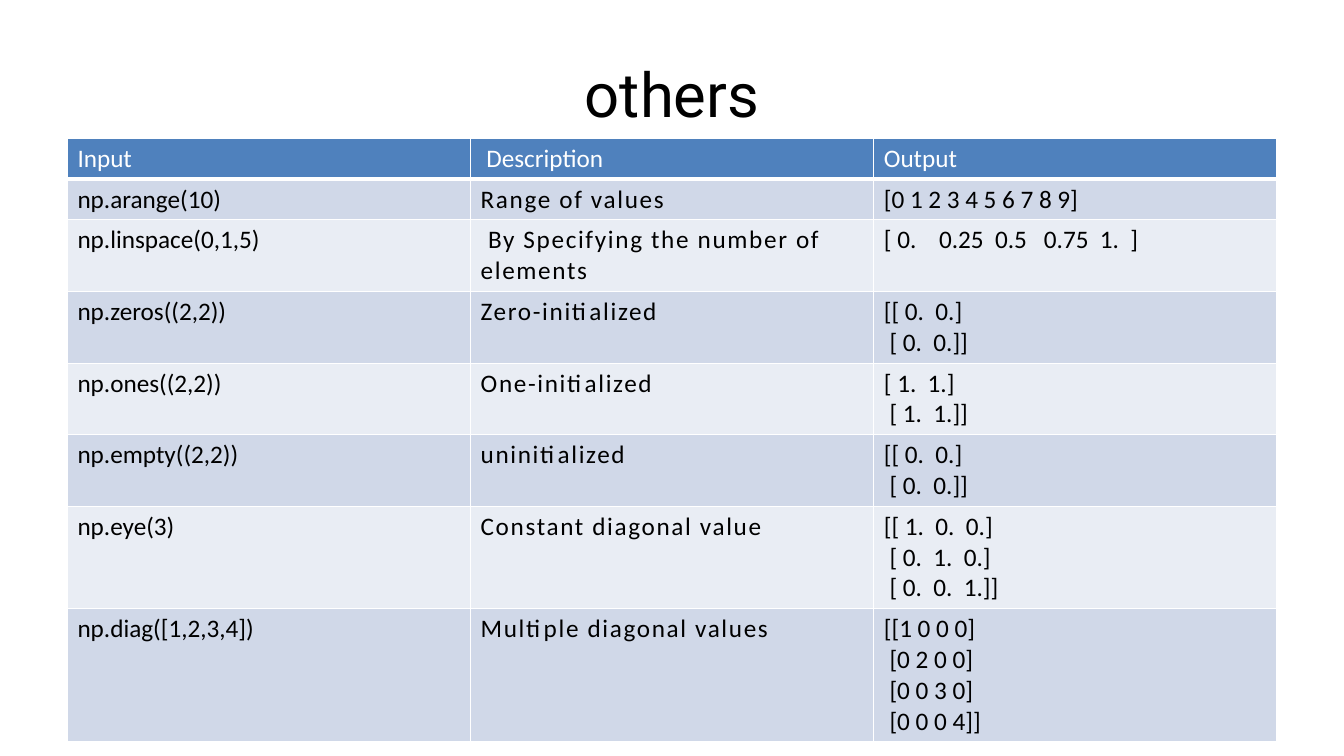
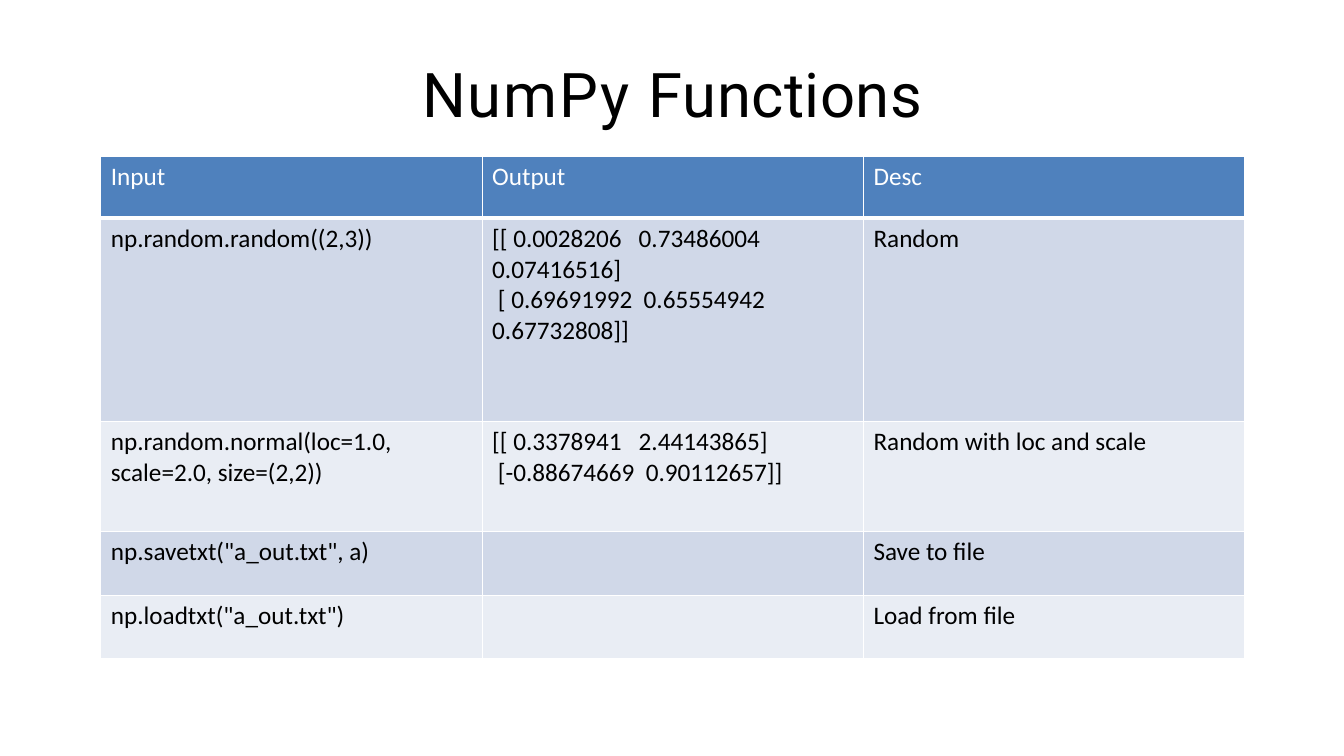
"""Build two slides of NumPy function tables."""
from lxml.etree import SubElement as Sub
from pptx import Presentation
from pptx.dml.color import RGBColor as Rgb
from pptx.enum.text import MSO_ANCHOR as Anchor, PP_ALIGN as Align
from pptx.oxml.ns import qn
from pptx.util import Cm, Pt

HUES = {"head": "4F81BD", "odd": "D0D8E8", "even": "E9EDF4",
        "light": "FFFFFF", "dark": "000000"}


def add_run(para, text, font, size, hue, gap=0):
    run = para.add_run()
    run.text = text
    run.font.name = font
    run.font.size = Pt(size)
    run.font.bold = False
    run.font.color.rgb = Rgb.from_string(HUES[hue])
    if gap:
        run._r.get_or_add_rPr().set("spc", str(round(gap * 100)))


def add_edge(cell, side, width):
    line = Sub(cell._tc.get_or_add_tcPr(), qn("a:ln" + side), w=str(Pt(width)))
    fill = Sub(line, qn("a:solidFill"))
    Sub(fill, qn("a:srgbClr"), val=HUES["light"])


pages = [
    {
        "title": [("others", 0)],
        "left": 1.7, "top": 3.48, "width": 10.16,
        "heights": [1.03] * 8,
        "spaced": 1,
        "rows": [
            ("Input", " Description", "Output"),
            ("np.arange(10)", "Range of values", "[0 1 2 3 4 5 6 7 8 9]"),
            ("np.linspace(0,1,5)", " By Specifying the number of elements",
             "[ 0.    0.25  0.5   0.75  1.  ]"),
            ("np.zeros((2,2))", "Zero-initialized", "[[ 0.  0.]\n [ 0.  0.]]"),
            ("np.ones((2,2))", "One-initialized", "[ 1.  1.]\n [ 1.  1.]]"),
            ("np.empty((2,2))", "uninitialized", "[[ 0.  0.]\n [ 0.  0.]]"),
            ("np.eye(3)", "Constant diagonal value",
             "[[ 1.  0.  0.]\n [ 0.  1.  0.]\n [ 0.  0.  1.]]"),
            ("np.diag([1,2,3,4])", "Multiple diagonal values",
             "[[1 0 0 0]\n [0 2 0 0]\n [0 0 3 0]\n [0 0 0 4]]"),
        ],
    },
    {
        "title": [("NumPy ", 1.3), ("Functions", 0.3)],
        "left": 2.54, "top": 3.94, "width": 9.61,
        "heights": [1.56, 5.13, 2.77, 1.6, 1.6],
        "spaced": None,
        "rows": [
            ("Input", "Output", "Desc"),
            ("np.random.random((2,3))",
             "[[ 0.0028206   0.73486004  0.07416516]\n"
             " [ 0.69691992  0.65554942  0.67732808]]", "Random"),
            ("np.random.normal(loc=1.0, scale=2.0, size=(2,2))",
             "[[ 0.3378941   2.44143865]\n [-0.88674669  0.90112657]]",
             "Random with loc and scale"),
            ('np.savetxt("a_out.txt", a)', "", "Save to file"),
            ('np.loadtxt("a_out.txt")', "", "Load from file"),
        ],
    },
]

deck = Presentation()
deck.slide_width, deck.slide_height = Cm(33.87), Cm(19.05)

for page in pages:
    slide = deck.slides.add_slide(deck.slide_layouts[5])
    title = slide.shapes.title
    title.left, title.top = Cm(1.7), Cm(0.76)
    title.width, title.height = Cm(30.48), Cm(3.18)
    title.text_frame.vertical_anchor = Anchor.MIDDLE
    para = title.text_frame.paragraphs[0]
    para.alignment = Align.CENTER
    for text, gap in page["title"]:
        add_run(para, text, "Roboto", 44, "dark", gap)

    rows = page["rows"]
    count = len(rows[0])
    table = slide.shapes.add_table(
        len(rows), count, Cm(page["left"]), Cm(page["top"]),
        Cm(page["width"] * count), Cm(sum(page["heights"]))).table
    for col in table.columns:
        col.width = Cm(page["width"])

    for r, row in enumerate(rows):
        table.rows[r].height = Cm(page["heights"][r])
        band = "head" if r == 0 else "odd" if r % 2 else "even"
        hue = "dark" if r else "light"
        for c, words in enumerate(row):
            cell = table.cell(r, c)
            for side in "LRTB":
                thick = (r, side) in ((0, "B"), (1, "T"))
                add_edge(cell, side, 3 if thick else 1)
            cell.fill.solid()
            cell.fill.fore_color.rgb = Rgb.from_string(HUES[band])
            gap = 1.2 if r and c == page["spaced"] else 0
            frame = cell.text_frame
            for n, line in enumerate(words.splitlines()):
                para = frame.add_paragraph() if n else frame.paragraphs[0]
                add_run(para, line, "Calibri", 18, hue, gap)

deck.save("out.pptx")
